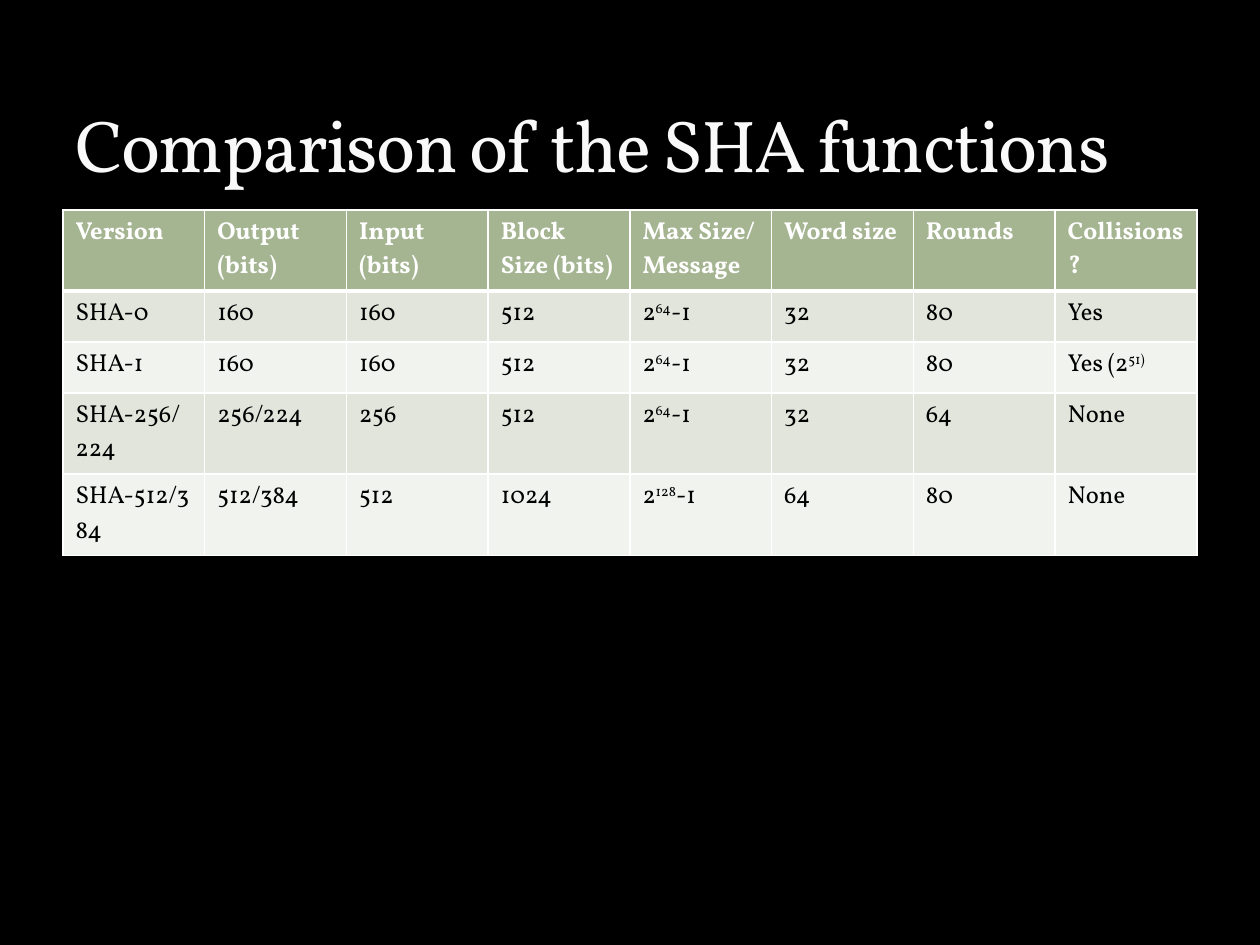
from lxml.etree import SubElement
from pptx import Presentation
from pptx.dml.color import RGBColor
from pptx.enum.text import MSO_ANCHOR
from pptx.oxml.ns import qn
from pptx.util import Pt

COLORS = {
    "background": "000000",
    "title": "F9F9F9",
    "header": "A5B592",
    "band_dark": "E1E5DC",
    "band_light": "F0F3EE",
    "border": "FFFFFF",
    "header_text": "FFFFFF",
    "body_text": "000000",
}

HEADERS = ["Version", "Output (bits)", "Input (bits)", "Block Size (bits)",
           "Max Size/ Message", "Word size", "Rounds", "Collisions?"]
ROWS = [
    ["SHA-0", "160", "160", "512", "2^64^-1", "32", "80", "Yes"],
    ["SHA-1", "160", "160", "512", "2^64^-1", "32", "80", "Yes (2^51)"],
    ["SHA-256/224", "256/224", "256", "512", "2^64^-1", "32", "64", "None"],
    ["SHA-512/384", "512/384", "512", "1024", "2^128^-1", "64", "80", "None"],
]


class SlideBuilder:
    FONT = "Vollkorn"
    EMU_PER_PX = 914400 / 126

    def __init__(self, prs):
        self.s = prs.slides.add_slide(prs.slide_layouts[6])
        fill = self.s.background.fill
        fill.solid()
        fill.fore_color.rgb = self.color("background")

    @classmethod
    def px(cls, value):
        return round(value * cls.EMU_PER_PX)

    @staticmethod
    def color(name):
        return RGBColor.from_string(COLORS[name])

    def add_runs(self, p, text, color, size, bold=False, spacing=0):
        for i, part in enumerate(text.split("^")):
            r = p.add_run()
            r.text = part
            font = {"name": self.FONT, "size": Pt(size), "bold": bold}
            for key, value in font.items():
                setattr(r.font, key, value)
            r.font.color.rgb = self.color(color)
            rPr = r._r.get_or_add_rPr()
            if spacing:
                rPr.set("spc", str(spacing * 100))
            if i % 2:
                rPr.set("baseline", "30000")

    def title(self, text, x, y, w, h, top):
        sp = self.s.shapes.add_textbox(*map(self.px, (x, y, w, h)))
        tf = sp.text_frame
        layout = {"word_wrap": True, "vertical_anchor": MSO_ANCHOR.TOP,
                  "margin_top": self.px(top), "margin_bottom": 0}
        for key, value in layout.items():
            setattr(tf, key, value)
        self.add_runs(tf.paragraphs[0], text, "title", 42, spacing=-1)

    def borders(self, cell, widths):
        tcPr = cell._tc.get_or_add_tcPr()
        for side, width in widths.items():
            ln = SubElement(tcPr, qn(f"a:ln{side}"), w=str(Pt(width)))
            fill = SubElement(ln, qn("a:solidFill"))
            SubElement(fill, qn("a:srgbClr"), val=COLORS["border"])

    def table(self, rows, x, y, w, h, row_height):
        box = map(self.px, (x, y, w, h))
        table = self.s.shapes.add_table(len(rows), len(rows[0]), *box).table
        for i, row in enumerate(rows):
            table.rows[i].height = self.px(row_height)
            header = i == 0
            band = "header" if header else ("band_light", "band_dark")[i % 2]
            color = "header_text" if header else "body_text"
            widths = {"L": 1, "R": 1, "T": 3 if i == 1 else 1,
                      "B": 3 if header else 1}
            for j, text in enumerate(row):
                cell = table.cell(i, j)
                self.borders(cell, widths)
                cell.fill.solid()
                cell.fill.fore_color.rgb = self.color(band)
                self.add_runs(cell.text_frame.paragraphs[0], text, color, 14,
                              bold=header)


def main():
    prs = Presentation()
    prs.slide_width = SlideBuilder.px(1260)
    prs.slide_height = SlideBuilder.px(945)
    slide = SlideBuilder(prs)
    slide.table([HEADERS, *ROWS], 63, 210, 1134, 316, row_height=51)
    slide.title("Comparison of the SHA functions", 63, 21, 1134, 168, top=78)
    prs.save("out.pptx")


if __name__ == "__main__":
    main()
